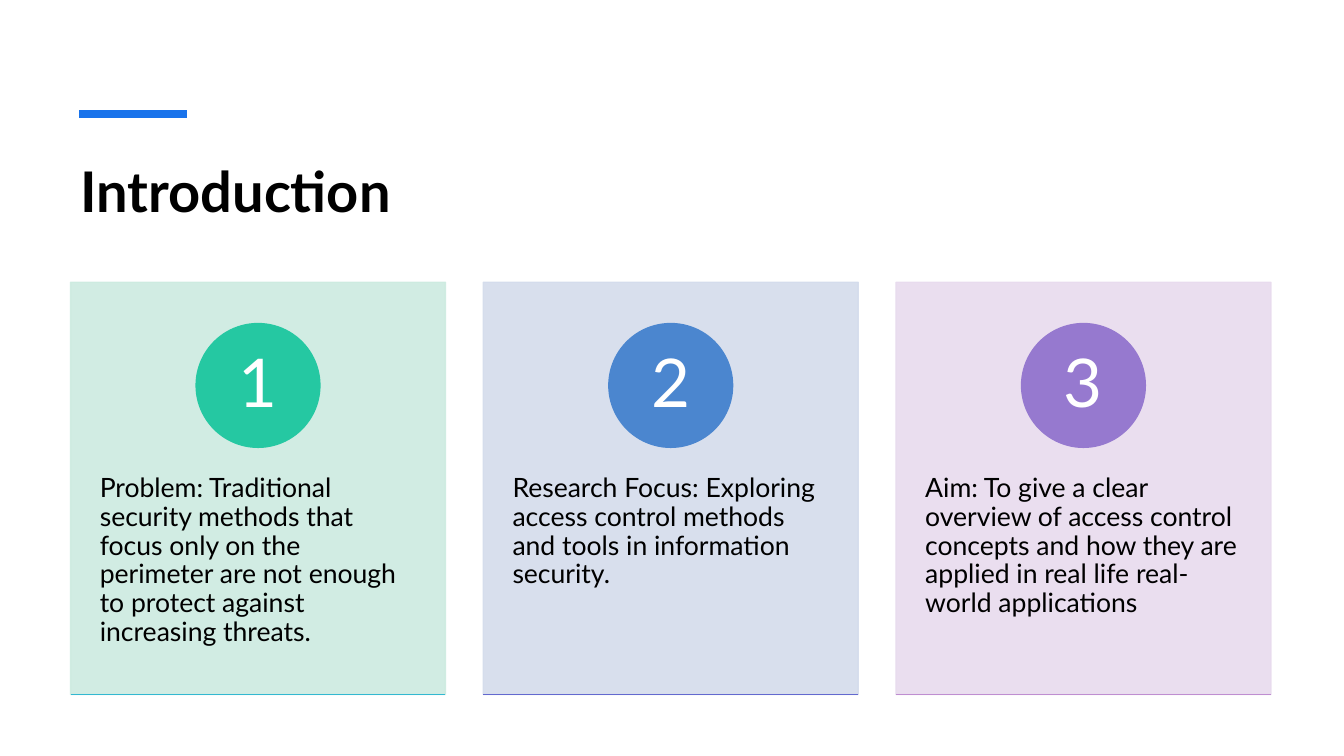
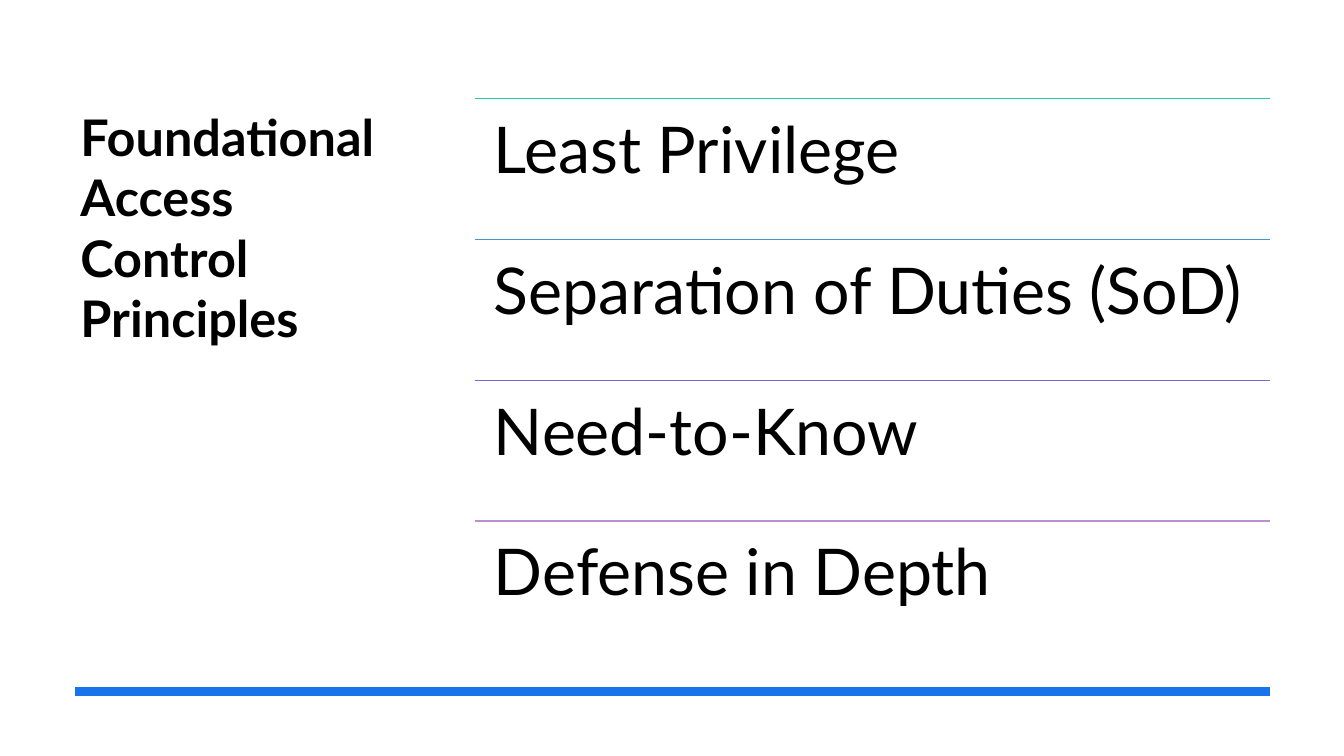
from pptx import Presentation
from pptx.dml.color import RGBColor
from pptx.enum.shapes import MSO_CONNECTOR, MSO_SHAPE
from pptx.enum.text import MSO_ANCHOR, PP_ALIGN
from pptx.oxml.ns import qn
from pptx.util import Pt
from lxml import etree

RECTANGLE, OVAL = MSO_SHAPE.RECTANGLE, MSO_SHAPE.OVAL
STRAIGHT = MSO_CONNECTOR.STRAIGHT
TOP, MIDDLE = MSO_ANCHOR.TOP, MSO_ANCHOR.MIDDLE
LEFT, CENTER = PP_ALIGN.LEFT, PP_ALIGN.CENTER

FONT = "Lato"
COLORS = {
    "text": "000000", "white": "FFFFFF", "accent": "1973EB",
    "mint": "CDEBE0", "green": "25C8A2", "cyan": "33B8D1",
    "mist": "D4DCEC", "blue": "4B86CF", "indigo": "6369CF",
    "lilac": "E8DBEE", "purple": "9679CF", "orchid": "BF8ED1",
    "sky": "4395D0", "violet": "726ACF",
}
CARDS = [
    ("Problem: Traditional security methods that focus only on the perimeter "
     "are not enough to protect against increasing threats.",
     "mint", "green", "cyan"),
    ("Research Focus: Exploring access control methods and tools in "
     "information security.", "mist", "blue", "indigo"),
    ("Aim: To give a clear overview of access control concepts and how they "
     "are applied in real life real-world applications",
     "lilac", "purple", "orchid"),
]
PRINCIPLES = [
    ("Least Privilege", "green"),
    ("Separation of Duties (SoD)", "sky"),
    ("Need-to-Know", "violet"),
    ("Defense in Depth", "orchid"),
]


class Slides:
    """Holds the deck style and the slide being built."""

    def __init__(self):
        self.deck = Presentation()
        self.deck.slide_width, self.deck.slide_height = Pt(960), Pt(540)
        self.page = None

    def new_page(self):
        self.page = self.deck.slides.add_slide(self.deck.slide_layouts[6])

    def color(self, name):
        return RGBColor.from_string(COLORS[name])

    def set_text(self, box, text, size, color="text", bold=False, align=LEFT,
                 anchor=TOP, insets=(0, 0, 0, 0), spacing=0.9):
        frame = box.text_frame
        frame.word_wrap = True
        frame.vertical_anchor = anchor
        (frame.margin_left, frame.margin_top,
         frame.margin_right, frame.margin_bottom) = map(Pt, insets)
        paragraph = frame.paragraphs[0]
        paragraph.text = text
        paragraph.alignment = align
        paragraph.line_spacing = spacing
        font = paragraph.font
        font.name, font.size, font.bold = FONT, Pt(size), bold
        font.color.rgb = self.color(color)

    def text(self, text, left, top, width, height, size, **style):
        box = self.page.shapes.add_textbox(*map(Pt, (left, top, width, height)))
        self.set_text(box, text, size, **style)

    def title(self, text, top, width, height, size):
        self.text(text, 50.4, top, width, height, size, bold=True,
                  insets=(7.2, 3.6, 7.2, 3.6), spacing=1.0)

    def rule(self, left, top, width, color, weight=1):
        line = self.page.shapes.add_connector(
            STRAIGHT, Pt(left), Pt(top), Pt(left + width), Pt(top))
        line.line.color.rgb = self.color(color)
        line.line.width = Pt(weight)
        etree.SubElement(line.element.spPr, qn("a:effectLst"))

    def shape(self, kind, left, top, width, height, color, opacity=100):
        shape = self.page.shapes.add_shape(
            kind, *map(Pt, (left, top, width, height)))
        shape.shadow.inherit = False
        shape.fill.solid()
        shape.fill.fore_color.rgb = self.color(color)
        shape.line.color.rgb = self.color(color)
        shape.line.width = Pt(1)
        if opacity < 100:
            for paint in shape.element.spPr.iter(qn("a:srgbClr")):
                etree.SubElement(paint, qn("a:alpha"), val=str(opacity * 1000))
        return shape

    def card(self, number, text, left, fill, badge, edge):
        top, width, height, diameter = 201.6, 267.8, 294.5, 88.4
        panel = self.shape(RECTANGLE, left, top, width, height, fill, 90)
        self.set_text(panel, text, 19, insets=(20.9, 137.5, 20.9, 25.9))
        circle = self.shape(OVAL, left + (width - diameter) / 2, top + 29.5,
                            diameter, diameter, badge)
        self.set_text(circle, str(number), 48, color="white", align=CENTER,
                      anchor=MIDDLE)
        self.rule(left, top + height, width, edge)

    def principle(self, text, top, height, color):
        left, width = 339.1, 568.1
        self.rule(left, top, width, color)
        self.text(text, left, top, width, height, 46, insets=(13.7,) * 4)


def main():
    slides = Slides()

    slides.new_page()
    slides.title("Introduction", 108, 857.5, 86.4, 40)
    slides.rule(56.5, 81.4, 77, "accent", 6)
    for index, (text, *colors) in enumerate(CARDS):
        slides.card(index + 1, text, 50.4 + index * 294.8, *colors)

    slides.new_page()
    slides.title("Foundational Access Control Principles", 72, 236.2, 327.6, 36)
    slides.rule(53.3, 493.9, 853.9, "accent", 6)
    pitch = 100.6
    for index, (text, color) in enumerate(PRINCIPLES):
        slides.principle(text, 70.4 + index * pitch, pitch, color)

    slides.deck.save("out.pptx")


if __name__ == "__main__":
    main()
